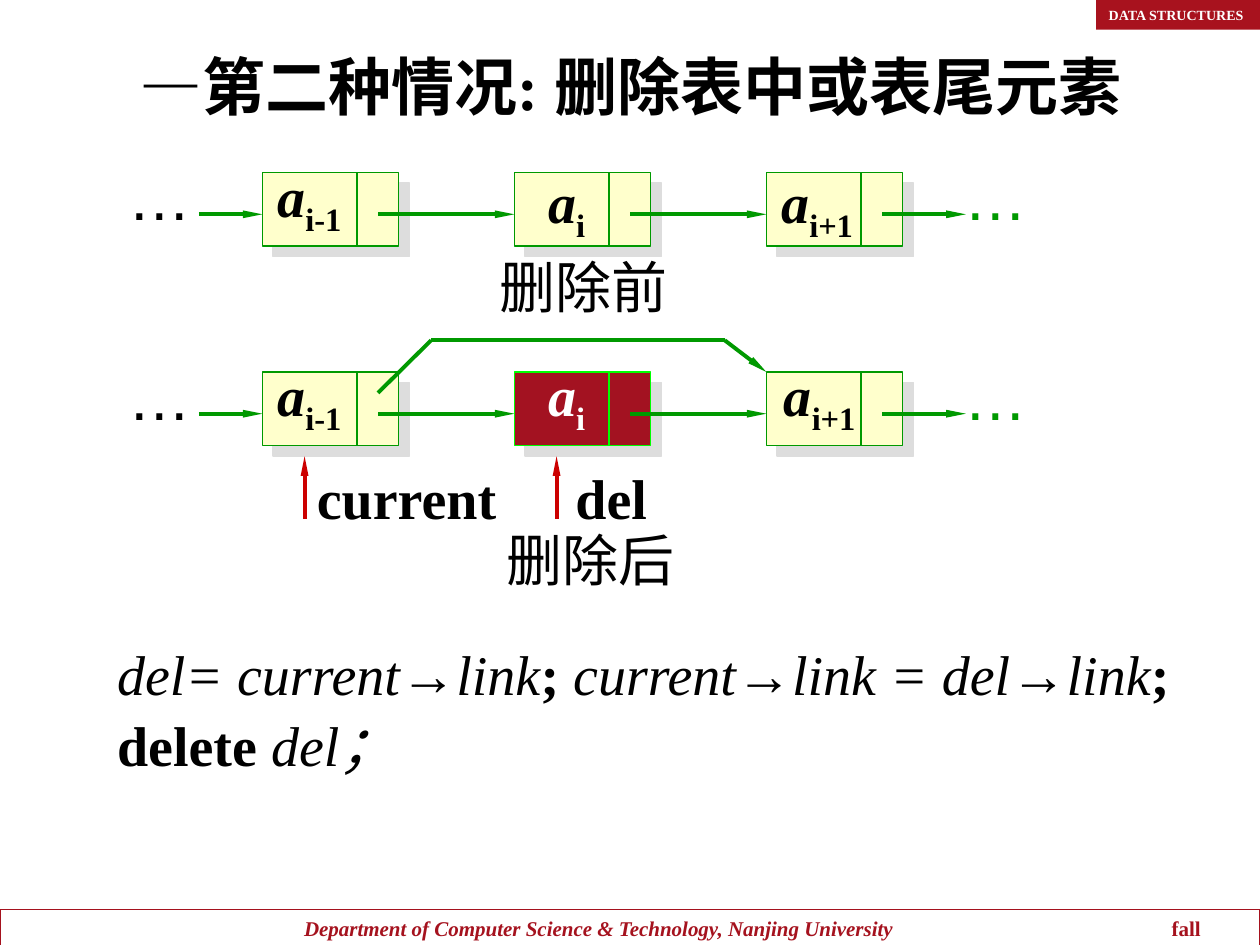
from itertools import pairwise

from lxml import etree
from pptx import Presentation
from pptx import util as u
from pptx.dml.color import RGBColor
from pptx.enum import shapes, text
from pptx.oxml.ns import qn

COLORS = {
    "ink": "000000", "paper": "FFFFFF", "brand": "A5121E", "banner": "A8121E",
    "node": "FFFFCC", "link": "009900", "doomed": "A31221", "doomed_line": "00FF00",
    "pointer": "CC0000", "shadow": "DDDDDD",
}
SERIF = "Times New Roman"
NODE_WIDTH, NODE_HEIGHT, NODE_PITCH = 2.75, 1.48, 5.08
FIRST_NODE = 2.96      # from the left edge of a list row
LINK_Y = 0.84          # from the top of a node
ROW_LEFT, BEFORE_TOP, AFTER_TOP = 2.33, 3.48, 7.5


def color(name):
    return RGBColor.from_string(COLORS[name])


def cm(*lengths):
    return [u.Cm(length) for length in lengths]


def add_line(page, start, end, ink="link", width=2.25, arrow=True):
    line = page.shapes.add_connector(shapes.MSO_CONNECTOR.STRAIGHT, *cm(*start, *end))
    line.line.color.rgb = color(ink)
    line.line.width = u.Pt(width)
    if arrow:
        etree.SubElement(line.line._get_or_add_ln(), qn("a:tailEnd"),
                         type="triangle", w="sm", len="lg")
    etree.SubElement(line._element.spPr, qn("a:effectLst"))


def add_rect(page, box, fill=None, line=None):
    rect = page.shapes.add_shape(shapes.MSO_SHAPE.RECTANGLE, *cm(*box))
    rect.shadow.inherit = False
    if fill:
        rect.fill.solid()
        rect.fill.fore_color.rgb = color(fill)
    else:
        rect.fill.background()
    if line:
        rect.line.color.rgb = color(line)
        rect.line.width = u.Pt(0.75)
    else:
        rect.line.fill.background()
    return rect


def write(shape, wording, size, ink="ink", font=SERIF, bold=None, italic=None,
          align=text.PP_ALIGN.LEFT, wrap=True):
    """Fill a shape with one paragraph; wording is a string or (text, bold, italic) spans."""
    frame = shape.text_frame
    frame.word_wrap = wrap
    frame.vertical_anchor = text.MSO_ANCHOR.MIDDLE
    para = frame.paragraphs[0]
    para.alignment = align
    para.font.name, para.font.size = font, u.Pt(size)
    para.font.color.rgb = color(ink)
    para.font.bold, para.font.italic = bold, italic
    if isinstance(wording, str):
        wording = [(wording, None, None)]
    for words, span_bold, span_italic in wording:
        span = para.add_run()
        span.text = words
        span.font.bold, span.font.italic = span_bold, span_italic
    return para


def add_label(page, box, wording, size=32, **style):
    return write(page.shapes.add_textbox(*cm(*box)), wording, size, wrap=False, **style)


def add_node(page, left, top, doomed):
    fill, line = ("doomed", "doomed_line") if doomed else ("node", "link")
    rect = add_rect(page, (left, top, NODE_WIDTH, NODE_HEIGHT), fill, line)
    effects = rect._element.spPr.find(qn("a:effectLst"))
    cast = etree.SubElement(effects, qn("a:outerShdw"), dist=str(u.Pt(8.5)),
                            dir="2700000", algn="ctr", rotWithShape="0")
    etree.SubElement(cast, qn("a:srgbClr"), val=COLORS["shadow"])
    divider = left + 1.91
    add_line(page, (divider, top), (divider, top + NODE_HEIGHT), line, 1.5, arrow=False)


def add_list_row(page, left, top, label_places, doomed=None):
    """Draw three linked nodes; label_places are label offsets from each node."""
    level = top + LINK_Y
    nodes = [left + FIRST_NODE + NODE_PITCH * index for index in range(3)]
    starts = [left + 1.68] + [node + 2.33 for node in nodes]
    ends = nodes + [left + 17.14]
    for index, (start, end) in enumerate(zip(starts, ends)):
        add_line(page, (start, level), (end, level))
        if index < len(nodes):
            add_node(page, end, top, index == doomed)
    for offset, ink in ((0, "ink"), (16.85, "link")):
        add_label(page, (left + offset, top - 0.43, 1.78, 1.78), "…", 36, ink=ink, font="Arial")
    labels = zip(nodes, label_places, ("i-1", "i", "i+1"), (1.9, 1.5, 2.1))
    for index, (node, (right, down), subscript, width) in enumerate(labels):
        para = add_label(page, (node + right, top + down, width, 1.8),
                         [("a", None, True), (subscript, None, False)], bold=True,
                         ink="paper" if index == doomed else "ink")
        para.runs[1]._r.get_or_add_rPr().set("baseline", "-25000")


def add_deletion(page, left, top):
    """Draw the bypass link and the two pointers of the row at left, top."""
    first = left + FIRST_NODE
    bend = top - 0.64
    route = [(first + 2.33, top + 0.42), (first + 3.4, bend),
             (first + 9.32, bend), (first + 2 * NODE_PITCH, top)]
    for start, end in pairwise(route):
        add_line(page, start, end, arrow=end == route[-1])
    for index, (name, right, width) in enumerate((("current", 0, 4.3), ("del", 0.13, 2.1))):
        x = first + NODE_PITCH * index + 0.85
        add_line(page, (x, top + 2.96), (x, top + 1.7), "pointer")
        add_label(page, (x + right, top + 1.7, width, 1.63), name, bold=True)


def add_code(page, box):
    spans = [
        ("del= current", None, True), ("→", None, False), ("link", None, True),
        (";", True, False), (" current", None, True), ("→", None, False),
        ("link = del", None, True), ("→", None, False), ("link", None, True),
        ("; delete", True, False), (" del；", None, True),
    ]
    write(add_rect(page, box, "paper"), spans, 32).line_spacing = 1.05


def add_frame(page, width):
    """Draw the course banner and the footer."""
    banner = add_rect(page, (22.1, 0, 3.38, 0.6), "banner")
    write(banner, "DATA STRUCTURES", 8, "paper", bold=True)
    top, height = 18.34, 0.76
    footer = add_rect(page, (0, top, width, height), line="brand")
    footer.text_frame.margin_left = u.Cm(6.13)
    write(footer, "Department of Computer Science & Technology, Nanjing University",
          12, "brand", bold=True, italic=True)
    add_label(page, (23.37, top, 1.3, height), "fall", 12, ink="brand", bold=True)


def main():
    deck = Presentation()
    deck.slide_width, deck.slide_height = cm(25.4, 19.05)
    page = deck.slides.add_slide(deck.slide_layouts[6])
    add_frame(page, 25.4)
    title = page.shapes.add_textbox(*cm(0.84, 0.84, 23.75, 1.78))
    write(title, "—第二种情况: 删除表中或表尾元素", 36, bold=True, align=text.PP_ALIGN.CENTER)
    add_list_row(page, ROW_LEFT, BEFORE_TOP, [(0.05, -0.36), (0.43, -0.23), (0.05, -0.23)])
    add_list_row(page, ROW_LEFT, AFTER_TOP, [(0.05, -0.36), (0.43, -0.36), (0.1, -0.36)], doomed=1)
    add_deletion(page, ROW_LEFT, AFTER_TOP)
    add_label(page, (9.83, 4.95, 4, 1.63), "删除前")
    add_label(page, (9.96, 10.46, 4, 1.63), "删除后")
    add_code(page, (2.11, 12.7, 21.79, 3.1))
    deck.save("out.pptx")


if __name__ == "__main__":
    main()
